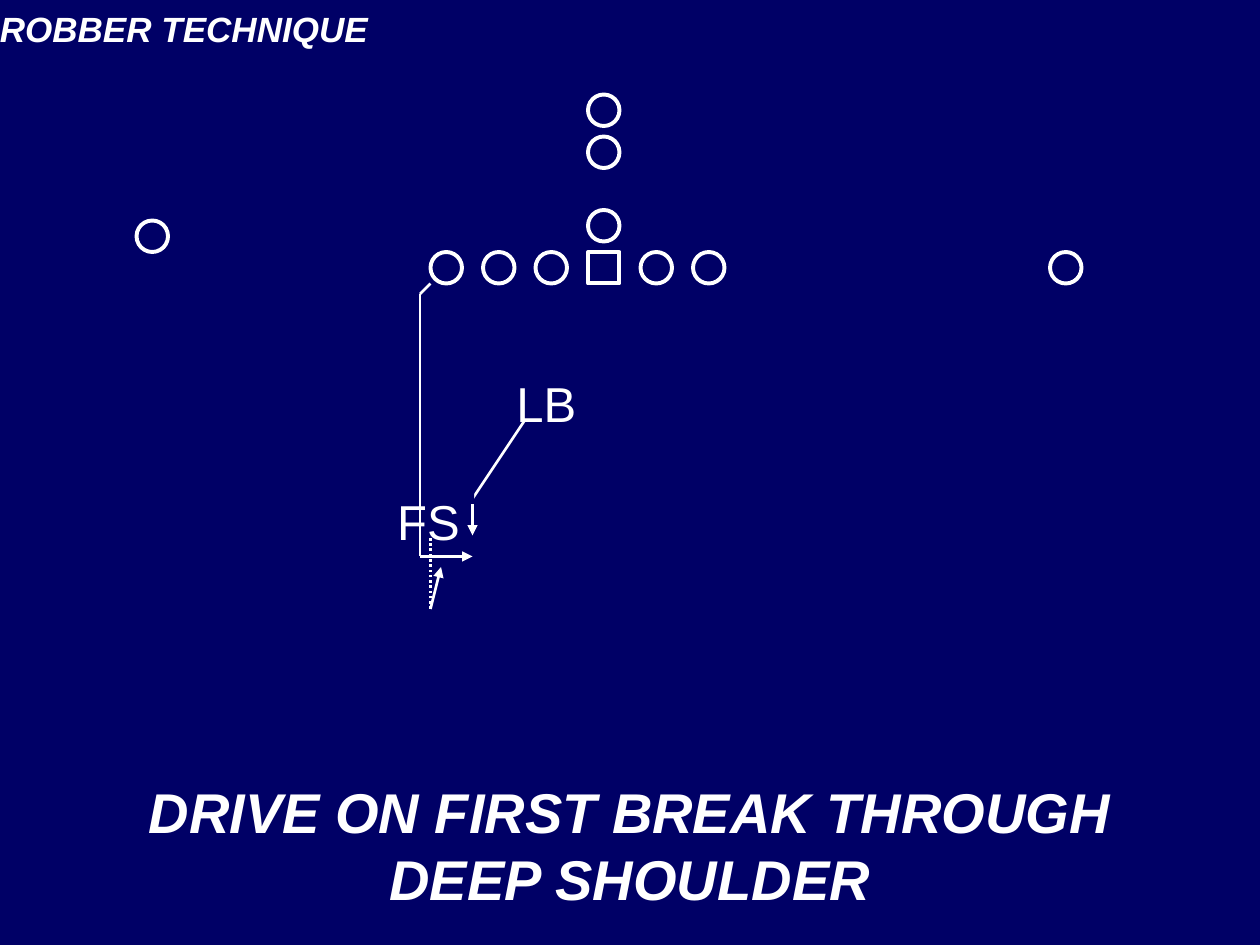
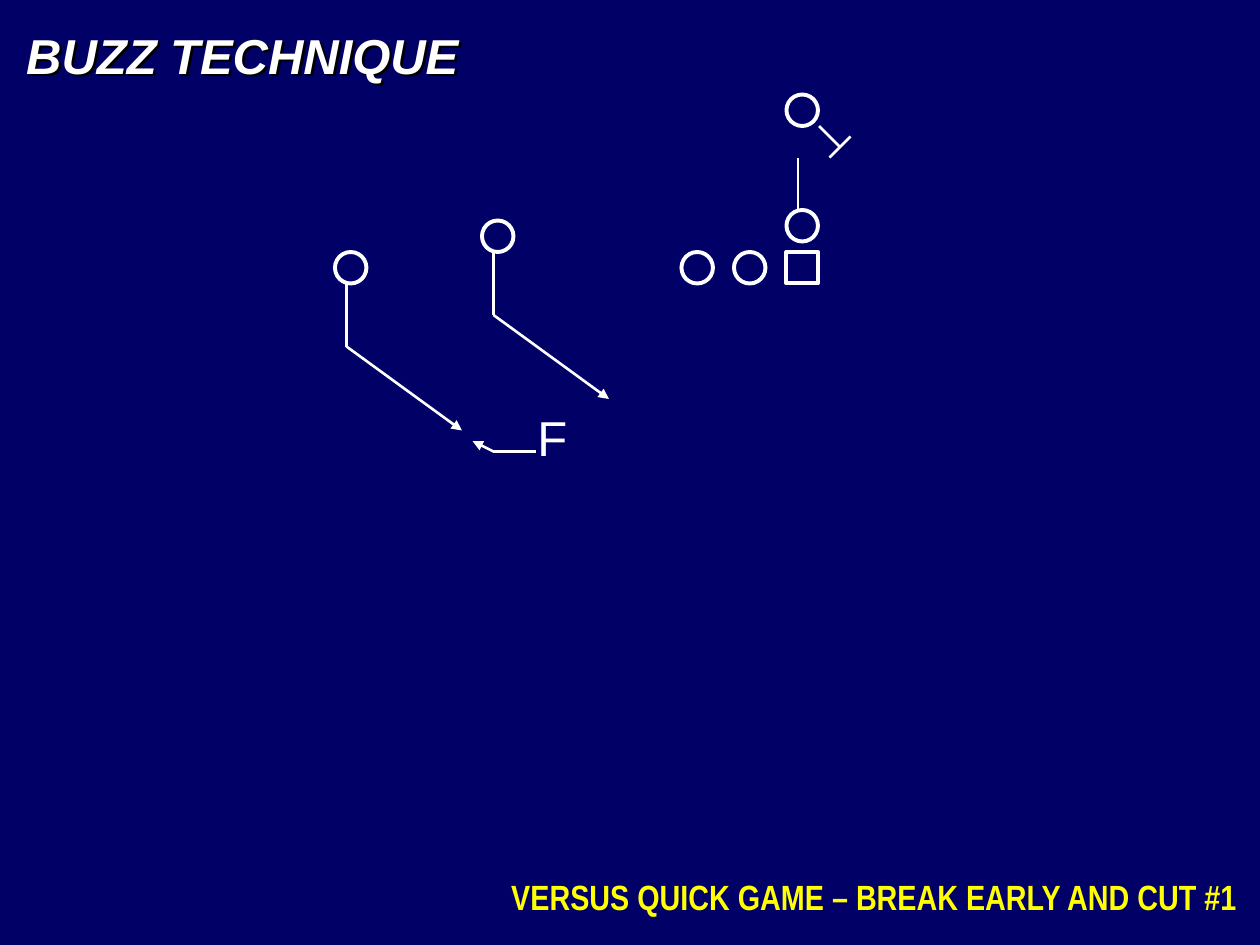
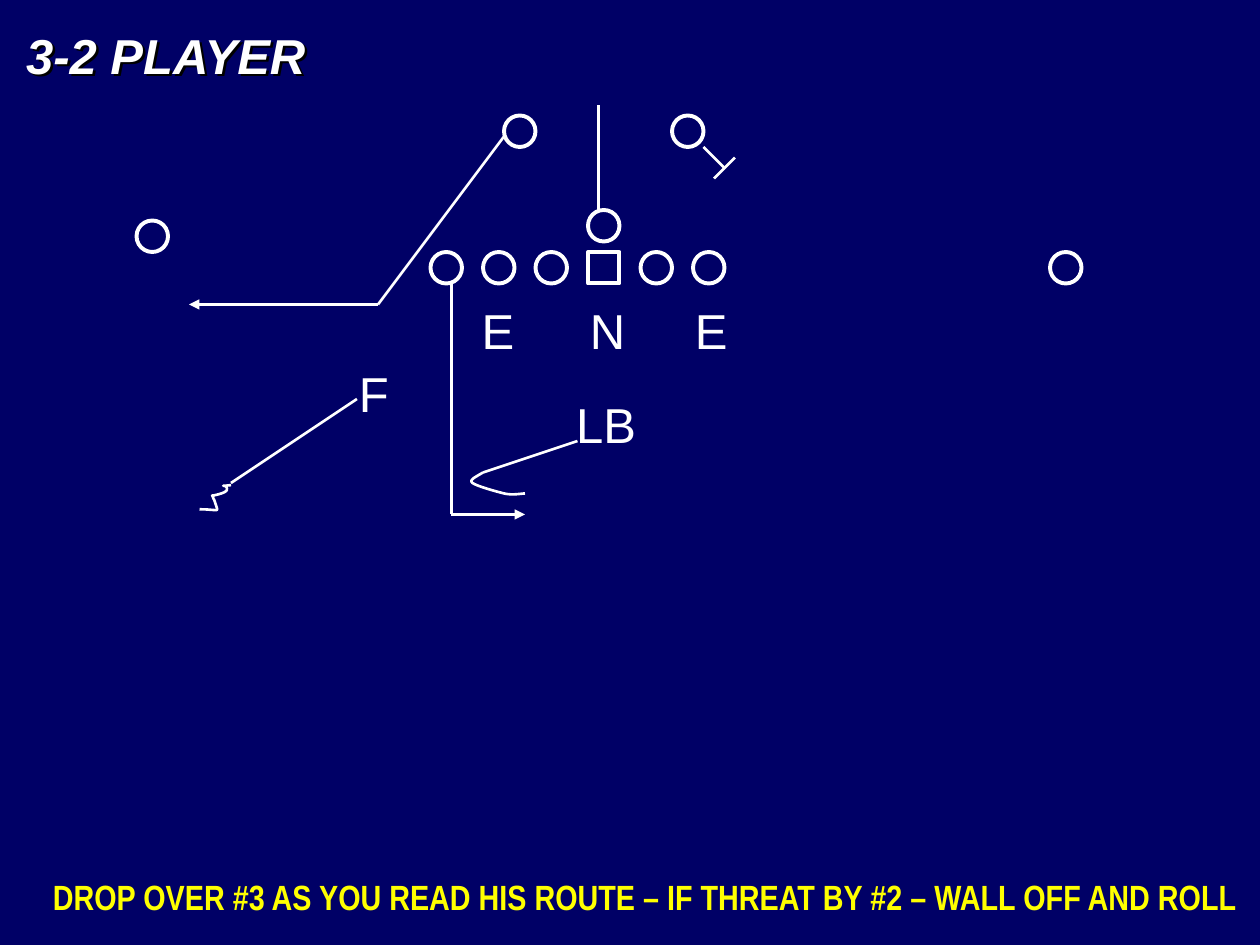
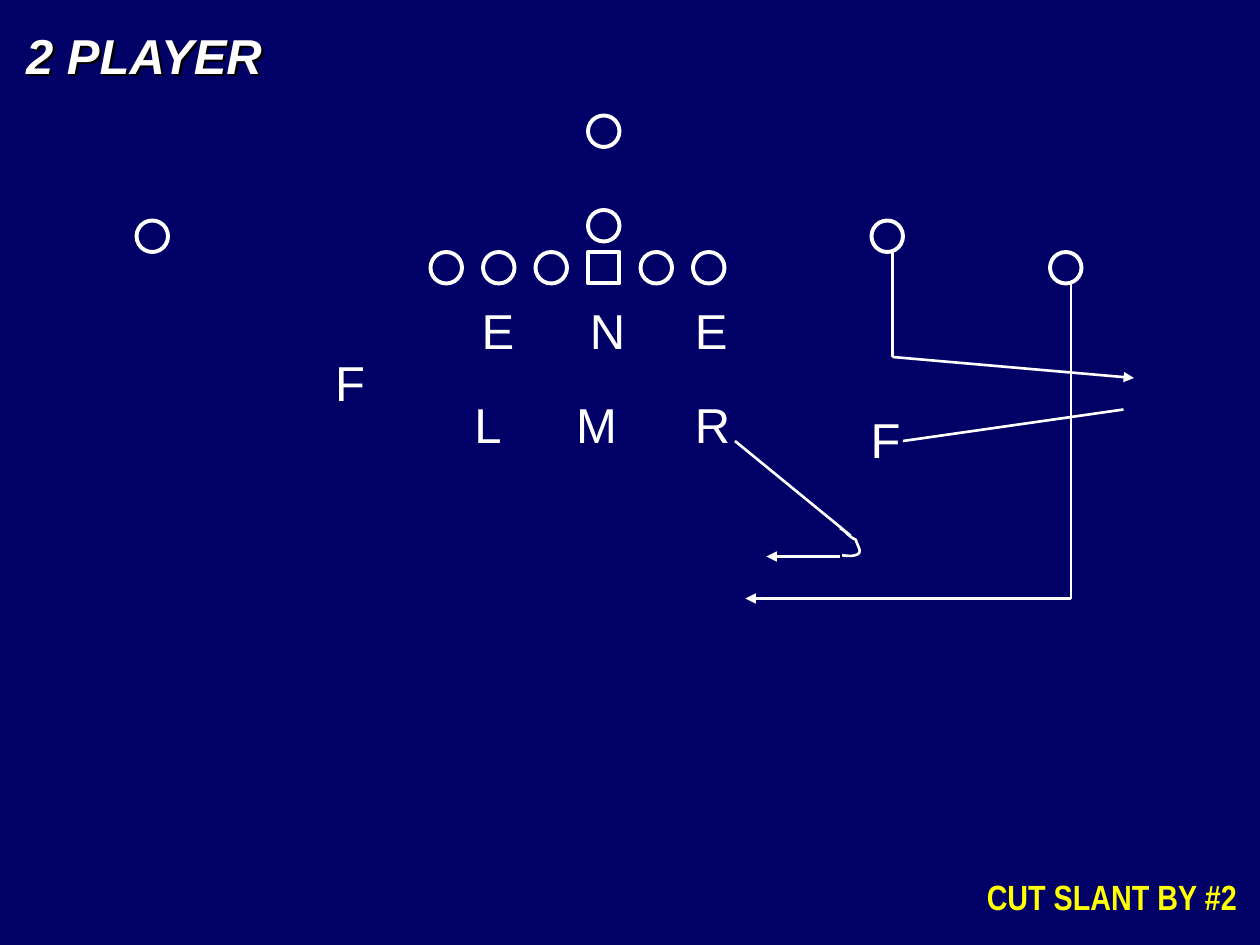
from dataclasses import dataclass
from itertools import pairwise

from lxml import etree
from pptx import Presentation
from pptx.dml.color import RGBColor
from pptx.enum.dml import MSO_LINE
from pptx.enum.shapes import MSO_CONNECTOR, MSO_SHAPE
from pptx.enum.text import MSO_ANCHOR, MSO_AUTO_SIZE, PP_ALIGN
from pptx.oxml.ns import qn
from pptx.util import Inches, Pt

OVAL, RECT = MSO_SHAPE.OVAL, MSO_SHAPE.RECTANGLE
STRAIGHT, DOTTED = MSO_CONNECTOR.STRAIGHT, MSO_LINE.ROUND_DOT
LEFT, MID, RIGHT = PP_ALIGN.LEFT, PP_ALIGN.CENTER, PP_ALIGN.RIGHT
TOP, MIDDLE = MSO_ANCHOR.TOP, MSO_ANCHOR.MIDDLE
FIT, FIXED = MSO_AUTO_SIZE.SHAPE_TO_FIT_TEXT, MSO_AUTO_SIZE.NONE


@dataclass(frozen=True)
class Theme:
    field: RGBColor = RGBColor(0x00, 0x00, 0x66)
    chalk: RGBColor = RGBColor(0xFF, 0xFF, 0xFF)
    note: RGBColor = RGBColor(0xFF, 0xFF, 0x00)
    shade: RGBColor = RGBColor(0x00, 0x00, 0x00)
    face: str = "Arial"
    slim: str = "Arial Narrow"
    small: Pt = Pt(20)
    large: Pt = Pt(28)
    huge: Pt = Pt(32)
    ring: Pt = Pt(2.25)
    trail: Pt = Pt(1.5)
    cast: Pt = Pt(2)


THEME = Theme()
WIDTH, HEIGHT = Inches(10), Inches(7.5)
COLS = 120
CELL = WIDTH // COLS
PLAYER, STEP, FRONT = 3, 5, 24
TALL = 6.8
WIDE = {"F": 5.3, "E": 5.5, "N": 5.8, "L": 4.9, "M": 6.2, "R": 5.8, "LB": 8.2, "FS": 8.5}

LABEL = {"name": THEME.face, "size": THEME.large}
HEAD = {**LABEL, "bold": True, "italic": True}
SMALL = {**HEAD, "size": THEME.small}
HUGE = {**HEAD, "size": THEME.huge}
NOTE = {"name": THEME.slim, "size": THEME.small, "bold": True}


def cells(*counts):
    return [round(count * CELL) for count in counts]


def set_all(target, values):
    for name, value in values.items():
        setattr(target, name, value)


def write(shape, text, font, color=THEME.chalk, align=LEFT, **frame):
    body = shape.text_frame
    set_all(body, {"word_wrap": True, "auto_size": FIT, "vertical_anchor": TOP, **frame})
    para = body.paragraphs[0]
    para.alignment = align
    run = para.add_run()
    run.text = text
    set_all(run.font, font)
    run.font.color.rgb = color


def add_text(slide, text, box, font, **look):
    shape = slide.shapes.add_textbox(*cells(*box))
    write(shape, text, font, **look)
    return shape


def add_title(slide, text):
    shape = add_text(slide, text, (1.32, 1.8, 51.6, TALL), HEAD)
    glow = etree.SubElement(shape.element.spPr, qn("a:effectLst"))
    cast = etree.SubElement(glow, qn("a:outerShdw"), dist=str(THEME.cast), dir="2700000")
    etree.SubElement(cast, qn("a:srgbClr"), val=str(THEME.shade))


def add_note(slide, text, left):
    add_text(slide, text, (left, 82.8, COLS - 1 - left, 5.3), NOTE, color=THEME.note, align=RIGHT)


def add_block(slide, kind, box):
    shape = slide.shapes.add_shape(kind, *cells(*box))
    shape.shadow.inherit = False
    shape.fill.solid()
    shape.fill.fore_color.rgb = THEME.field
    return shape


def draw_line(line, width):
    line.color.rgb = THEME.chalk
    line.width = width


def add_player(slide, col, row, kind=OVAL):
    draw_line(add_block(slide, kind, (col, row, PLAYER, PLAYER)).line, THEME.ring)


def add_front(slide, mid, left, right, others):
    for place in range(-left, right + 1):
        add_player(slide, mid + STEP * place, FRONT, OVAL if place else RECT)
    add_player(slide, mid, 20)
    for col, row in others:
        add_player(slide, col, row)


def add_label(slide, text, col, row):
    shape = add_block(slide, RECT, (col, row, WIDE[text], TALL))
    shape.line.fill.background()
    write(shape, text, LABEL, word_wrap=False)


def add_labels(slide, *labels):
    for label in labels:
        add_label(slide, *label)


def add_route(slide, *points, arrow=False, dash=None):
    for start, end in pairwise(points):
        track = slide.shapes.add_connector(STRAIGHT, *cells(*start, *end))
        draw_line(track.line, THEME.trail)
        if dash:
            track.line.dash_style = dash
        props = track.element.spPr
        etree.SubElement(props, qn("a:effectLst"))
    if arrow:
        etree.SubElement(props.find(qn("a:ln")), qn("a:tailEnd"), type="triangle")


def add_stop(slide, col, row):
    add_route(slide, (col, row), (col + 2, row + 2))
    add_route(slide, (col + 1, row + 3), (col + 3, row + 1))


def bend(knots, share):
    rest = 1 - share
    parts = (rest**3, 3 * rest**2 * share, 3 * rest * share**2, share**3)
    return tuple(sum(part * value for part, value in zip(parts, axis)) for axis in zip(*knots))


def add_curve(slide, *knots, steps=8):
    points = [
        cells(*bend(knots[first:first + 4], step / steps))
        for first in range(0, len(knots) - 1, 3)
        for step in range(1, steps + 1)
    ]
    pen = slide.shapes.build_freeform(*cells(*knots[0]))
    pen.add_line_segments(points, close=False)
    shape = pen.convert_to_shape()
    shape.shadow.inherit = False
    shape.fill.background()
    draw_line(shape.line, THEME.trail)


def add_rush(slide):
    add_labels(slide, ("E", 65, 28), ("E", 44.7, 28), ("N", 55, 28))


def show_robber(slide):
    add_front(slide, 56, 3, 2, [(100, 24), (13, 21), (56, 13), (56, 9)])
    add_text(slide, "ROBBER TECHNIQUE", (-1.2, 0.15, 37.8, 5.3), SMALL, word_wrap=False)
    add_text(slide, "DRIVE ON FIRST BREAK THROUGH DEEP SHOULDER", (9, 72.95, 102, 15), HUGE,
             align=MID, vertical_anchor=MIDDLE, auto_size=FIXED)
    add_label(slide, "LB", 48, 35)
    add_route(slide, (50, 40), (44, 49), arrow=True)
    add_label(slide, "FS", 36.65, 46.2)
    add_route(slide, (41, 27), (40, 28), (40, 53), (45, 53), arrow=True)
    add_route(slide, (41, 58), (41, 51), dash=DOTTED)
    add_route(slide, (41, 58), (42, 54), arrow=True)
    add_route(slide, (45, 48), (45, 51), arrow=True)


def show_buzz(slide):
    add_front(slide, 74.9, 2, 0, [(74.9, 9), (31.9, 24), (45.9, 21)])
    add_label(slide, "F", 50, 38.2)
    add_title(slide, "BUZZ TECHNIQUE")
    add_note(slide, "VERSUS QUICK GAME – BREAK EARLY AND CUT #1", 21)
    for col, row in ((47, 24), (33, 27)):
        add_route(slide, (col, row), (col, row + 6), (col + 11, row + 14), arrow=True)
    add_route(slide, (51, 43), (47, 43), (45, 42), arrow=True)
    add_route(slide, (76, 20), (76, 15))
    add_stop(slide, 78, 12)


def show_third(slide):
    add_title(slide, "3-2 PLAYER")
    add_note(slide, "DROP OVER #3 AS YOU READ HIS ROUTE – IF THREAT BY #2 – WALL OFF AND ROLL", 0)
    add_front(slide, 56, 3, 2, [(100, 24), (13, 21), (48, 11), (64, 11)])
    add_rush(slide)
    add_labels(slide, ("LB", 53.7, 37), ("F", 33, 34))
    add_route(slide, (48, 13), (36, 29), (18, 29), arrow=True)
    add_route(slide, (43, 27), (43, 49), (50, 49), arrow=True)
    add_route(slide, (55, 42), (46, 45))
    add_route(slide, (57, 20), (57, 10))
    add_stop(slide, 67, 14)
    add_curve(slide, (46, 45), (45.4, 45.4), (44.6, 45.7), (45, 46), (45.4, 46.3),
              (47.2, 46.8), (48, 47), (48.8, 47.2), (49.7, 47), (50, 47))
    add_route(slide, (34, 38), (22, 46))
    add_curve(slide, (22, 46.2), (20.5, 46.4), (21.8, 46), (21.6, 46.7), (21.4, 47),
              (20.3, 47.2), (20.2, 47.2), (20.3, 47.3), (20.3, 47.5), (20.4, 47.6),
              (20.8, 49), (21.1, 48.5), (19, 48.5))


def show_second(slide):
    add_note(slide, "CUT SLANT BY #2", 12)
    add_title(slide, "2 PLAYER")
    add_front(slide, 56, 3, 2, [(100, 24), (13, 21), (56, 11), (83, 21)])
    add_rush(slide)
    add_labels(slide, ("L", 44, 37), ("M", 53.7, 37), ("F", 81.75, 38.4),
               ("F", 30.75, 33), ("R", 65, 37))
    add_route(slide, (107, 39), (86, 42))
    add_route(slide, (85, 24), (85, 34), (108, 36), arrow=True)
    add_route(slide, (81, 51), (70, 42))
    add_route(slide, (80, 53), (73, 53), arrow=True)
    add_route(slide, (102, 27), (102, 57), (71, 57), arrow=True)
    add_curve(slide, (80, 50.3), (80.6, 50.6), (80.8, 51.1), (81.5, 51.4), (81.7, 52.1),
              (82.3, 52.7), (81.4, 52.9), (81, 53), (80.5, 52.9), (80.2, 52.9))


def main():
    deck = Presentation()
    set_all(deck, {"slide_width": WIDTH, "slide_height": HEIGHT})
    back = deck.slide_master.background.fill
    back.solid()
    back.fore_color.rgb = THEME.field
    for show in (show_robber, show_buzz, show_third, show_second):
        show(deck.slides.add_slide(deck.slide_layouts[6]))
    deck.save("out.pptx")


if __name__ == "__main__":
    main()
